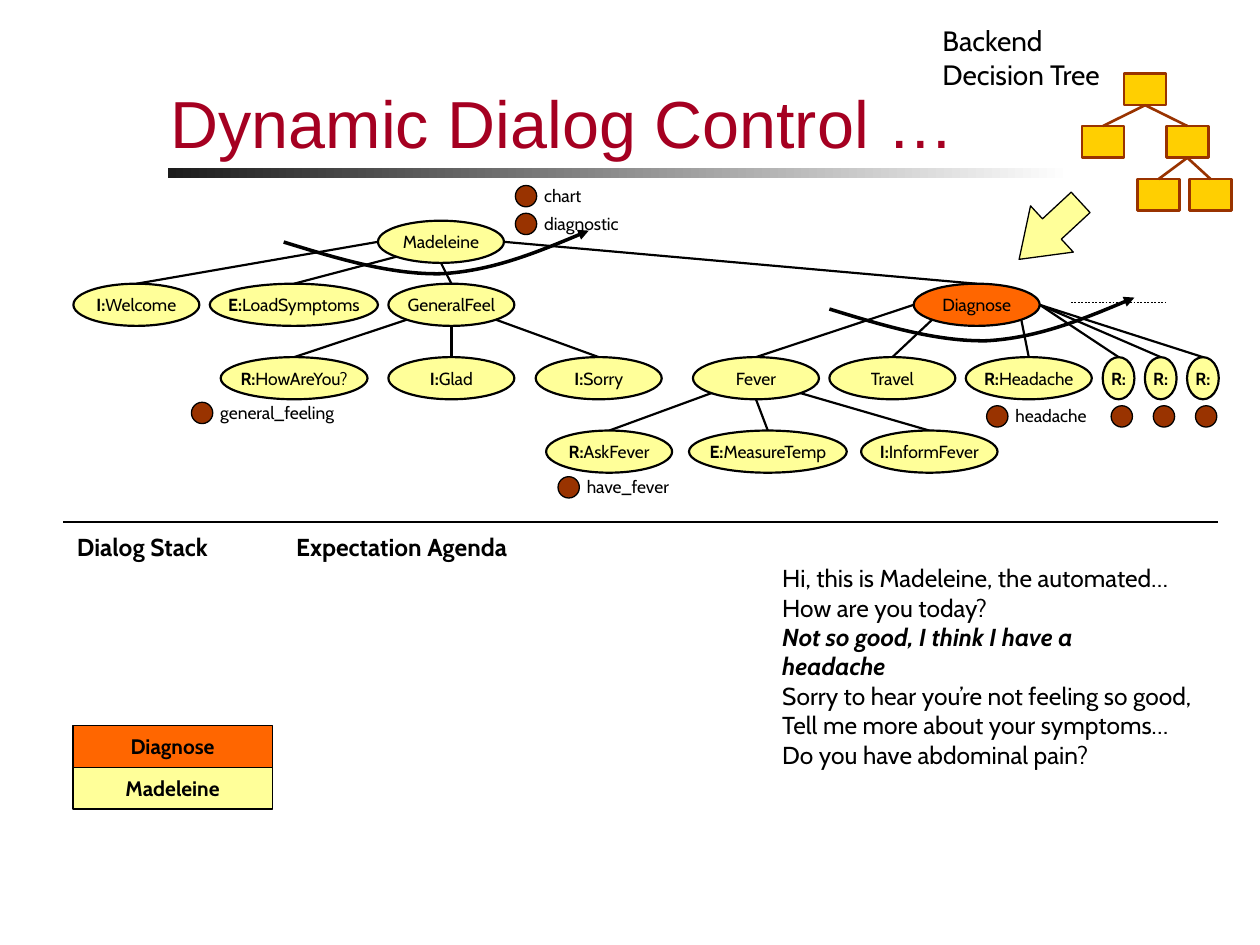
from math import cos, radians, sin

from lxml.etree import SubElement
from pptx import Presentation
from pptx.dml.color import RGBColor
from pptx.enum.dml import MSO_LINE
from pptx.enum.shapes import MSO_CONNECTOR, MSO_SHAPE
from pptx.enum.text import MSO_ANCHOR, MSO_AUTO_SIZE, PP_ALIGN
from pptx.oxml.ns import qn
from pptx.util import Cm, Pt

BLACK = RGBColor(0x00, 0x00, 0x00)
WHITE = RGBColor(0xFF, 0xFF, 0xFF)
COAL = RGBColor(0x1C, 0x1C, 0x1C)
WINE = RGBColor(0xA5, 0x00, 0x21)
CREAM = RGBColor(0xFF, 0xFF, 0x99)
ORANGE = RGBColor(0xFF, 0x66, 0x00)
RUST = RGBColor(0x99, 0x33, 0x00)
GOLD = RGBColor(0xFF, 0xCF, 0x01)

BODY = {"name": "Cabin", "size": Pt(14)}
HEAD = {**BODY, "bold": True}
BLOCK = {**HEAD, "size": Pt(12)}
SMALL = {**BODY, "size": Pt(10)}
LARGE = {**BODY, "size": Pt(16)}
TITLE = {"name": "Arial", "size": Pt(38)}
STRONG = {"bold": True}
SPOKEN = {"bold": True, "italic": True}

ROWS = (0.84, 2.11, 3.59, 5.07)
NODE_H = 0.85
STEP = 0.85
TREE = ("Madeleine", 6.35, 2.54, None, [
    ("I:Welcome", 0.21, 2.54, 180, []),
    ("E:LoadSymptoms", 2.96, 3.39, 135, []),
    ("GeneralFeel", 6.56, 2.54, 90, [
        ("R:HowAreYou?", 3.18, 2.96, 135, []),
        ("I:Glad", 6.56, 2.54, 90, []),
        ("I:Sorry", 9.53, 2.54, 45, []),
    ]),
    ("Diagnose", 17.15, 2.54, 0, [
        ("Fever", 12.7, 2.54, 180, [
            ("R:AskFever", 9.74, 2.54, 135, []),
            ("E:MeasureTemp", 12.62, 3.18, 90, []),
            ("I:InformFever", 16.09, 2.75, 45, []),
        ]),
        ("Travel", 15.45, 2.54, 135, []),
        ("R:Headache", 18.2, 2.54, 45, []),
        *[("R:", 20.96 + STEP * i, 0.64, 0, []) for i in range(3)],
    ]),
])
DOTS = [
    ("general_feeling", 2.59, 4.5),
    ("chart", 9.12, 0.13),
    ("have_fever", 9.98, 6.0),
    ("diagnostic", 9.12, 0.69),
    ("headache", 18.62, 4.57),
    *[("", 21.13 + STEP * i, 4.57) for i in range(3)],
]
SWEEP = [(1.07, 0.33), (2.16, 0.66), (3.18, 0.64),
         (4.19, 0.58), (5.18, 0.18), (6.15, -0.23)]
TALK = [
    [("Hi, this is Madeleine, the automated…", {})],
    [("How are you today?", {})],
    [("Not so good, I think I have a\nheadache\n", SPOKEN),
     ("Sorry to hear you’re not feeling so good,\n"
      "Tell me more about your symptoms…", {})],
    [("Do you have abdominal pain?", {})],
]


def style(font, form, color=BLACK):
    for key, value in form.items():
        setattr(font, key, value)
    font.color.rgb = color


def write(frame, paras, form, align=PP_ALIGN.LEFT):
    for i, parts in enumerate(paras):
        para = frame.paragraphs[0] if i == 0 else frame.add_paragraph()
        para.alignment = align
        for text, extra in parts:
            for j, line in enumerate(text.split("\n")):
                if j:
                    para.add_line_break()
                if line:
                    run = para.add_run()
                    run.text = line
                    style(run.font, {**form, **extra})


def label(shapes, x, y, w, h, paras, form):
    box = shapes.add_textbox(Cm(x), Cm(y), Cm(w), Cm(h))
    box.text_frame.word_wrap = True
    write(box.text_frame, paras, form)


def shape(shapes, kind, x, y, w, h, fill, line=BLACK, width=0.75):
    item = shapes.add_shape(kind, Cm(x), Cm(y), Cm(w), Cm(h))
    item.shadow.inherit = False
    item.fill.solid()
    item.fill.fore_color.rgb = fill
    item.line.color.rgb = line
    item.line.width = Pt(width)
    return item


def caption(item, parts, form):
    frame = item.text_frame
    frame.word_wrap = False
    frame.vertical_anchor = MSO_ANCHOR.MIDDLE
    write(frame, [parts], form, PP_ALIGN.CENTER)


def link(shapes, start, end, color=BLACK, width=1.25):
    ends = [Cm(v) for v in (*start, *end)]
    item = shapes.add_connector(MSO_CONNECTOR.STRAIGHT, *ends)
    SubElement(item._element.spPr, qn("a:effectLst"))
    item.line.color.rgb = color
    item.line.width = Pt(width)
    return item


def sweep(shapes, x, y):
    pen = shapes.build_freeform(Cm(x), Cm(y))
    pen.add_line_segments([(Cm(x + a), Cm(y + b)) for a, b in SWEEP], close=False)
    item = pen.convert_to_shape()
    item.shadow.inherit = False
    item.fill.background()
    item.line.color.rgb = BLACK
    item.line.width = Pt(2)
    SubElement(item.line._get_or_add_ln(), qn("a:tailEnd"), type="triangle")
    path = next(item._element.iter(qn("a:path")))
    steps = path.findall(qn("a:lnTo"))
    for i in range(0, len(steps), 3):
        curve = SubElement(path, qn("a:cubicBezTo"))
        for step in steps[i:i + 3]:
            curve.append(step[0])
            path.remove(step)


def grow(shapes, left, top, node, level=0, root=None):
    name, x, w, angle, kids = node
    x, y = left + x, top + ROWS[level]
    mid = (x + w / 2, y + NODE_H / 2)
    if root:
        (cx, cy), wide = root
        turn = radians(angle)
        start = (cx + wide / 2 * cos(turn), cy + NODE_H / 2 * sin(turn))
        link(shapes, start, (mid[0], y))
    fill = ORANGE if name == "Diagnose" else CREAM
    item = shape(shapes, MSO_SHAPE.OVAL, x, y, w, NODE_H, fill, width=1.25)
    kind, colon, rest = name.rpartition(":")
    caption(item, [(kind + colon, STRONG), (rest, {})], SMALL)
    for kid in kids:
        grow(shapes, left, top, kid, level + 1, (mid, w))


def tasks(shapes, left, top):
    grow(shapes, left, top, TREE)
    for name, x, y in DOTS:
        x, y = left + x, top + y
        shape(shapes, MSO_SHAPE.OVAL, x, y, 0.43, 0.43, RUST)
        if name:
            wide = 0.6 + 0.18 * len(name)
            label(shapes, x + 0.33, y - 0.13, wide, 0.68, [[(name, {})]], SMALL)
    y = top + 2.49
    dots = link(shapes, (left + 20.32, y), (left + 22.23, y), width=1)
    dots.line.dash_style = MSO_LINE.ROUND_DOT
    for x, y in ((4.45, 1.27), (15.45, 2.62)):
        sweep(shapes, left + x, top + y)


def backend(shapes, left, top):
    wide, high = 0.85, 0.64
    spots = [(3.91, 1.12), (3.06, 2.18), (4.76, 2.18), (4.18, 3.25), (5.23, 3.25)]
    spots = [(left + x, top + y) for x, y in spots]
    for x, y in spots:
        shape(shapes, MSO_SHAPE.RECTANGLE, x, y, wide, high, GOLD, RUST, 1.5)
    for a, b in ((0, 1), (0, 2), (2, 3), (2, 4)):
        (x, y), (u, v) = spots[a], spots[b]
        link(shapes, (x + wide / 2, y + high), (u + wide / 2, v), RUST, 1.5)
    arrow = shape(shapes, MSO_SHAPE.LEFT_ARROW, left + 1.57, top + 3.66, 1.69, 1.27, CREAM)
    arrow.rotation = 317.2
    arrow.adjustments[0], arrow.adjustments[1] = 0.44, 0.71
    label(shapes, left, top, 4.09, 1.63, [[("Backend\nDecision Tree", {})]], LARGE)


def heading(slide, left, top, w, h):
    bar = shape(slide.shapes, MSO_SHAPE.RECTANGLE, left + 0.2, top + h, 18.21, 0.2, COAL)
    bar.line.fill.background()
    bar.fill.gradient()
    bar.fill.gradient_angle = 0
    for stop, color in zip(bar.fill.gradient_stops, (COAL, WHITE)):
        stop.color.rgb = color
    title = slide.shapes.title
    title.left, title.top, title.width, title.height = Cm(left), Cm(top), Cm(w), Cm(h)
    frame = title.text_frame
    frame.text = "Dynamic Dialog Control …"
    frame.auto_size = MSO_AUTO_SIZE.NONE
    frame.vertical_anchor = MSO_ANCHOR.BOTTOM
    frame.paragraphs[0].alignment = PP_ALIGN.LEFT
    style(frame.paragraphs[0].runs[0].font, TITLE, WINE)


def state(shapes, left, top, w):
    link(shapes, (left, top), (left + w, top), width=1.5)
    for name, x, wide in (("Dialog Stack", 0.03, 3.56), ("Expectation Agenda", 4.45, 5.46)):
        label(shapes, left + x, top + 0.08, wide, 0.86, [[(name, {})]], HEAD)
    for i, (name, fill) in enumerate((("Diagnose", ORANGE), ("Madeleine", CREAM))):
        y = top + 4.11 + 0.84 * i
        item = shape(shapes, MSO_SHAPE.RECTANGLE, left + 0.2, y, 4.02, 0.84, fill)
        caption(item, [(name, {})], BLOCK)
    label(shapes, left + 14.25, top + 0.71, 9.88, 4.42, TALK, BODY)


def main():
    deck = Presentation()
    deck.slide_width, deck.slide_height = Cm(25.4), Cm(19.05)
    slide = deck.slides.add_slide(deck.slide_layouts[5])
    heading(slide, 3.18, 1.27, 21.64, 2.12)
    state(slide.shapes, 1.27, 10.52, 23.28)
    tasks(slide.shapes, 1.27, 3.61)
    backend(slide.shapes, 18.75, 0.36)
    deck.save("out.pptx")


if __name__ == "__main__":
    main()
